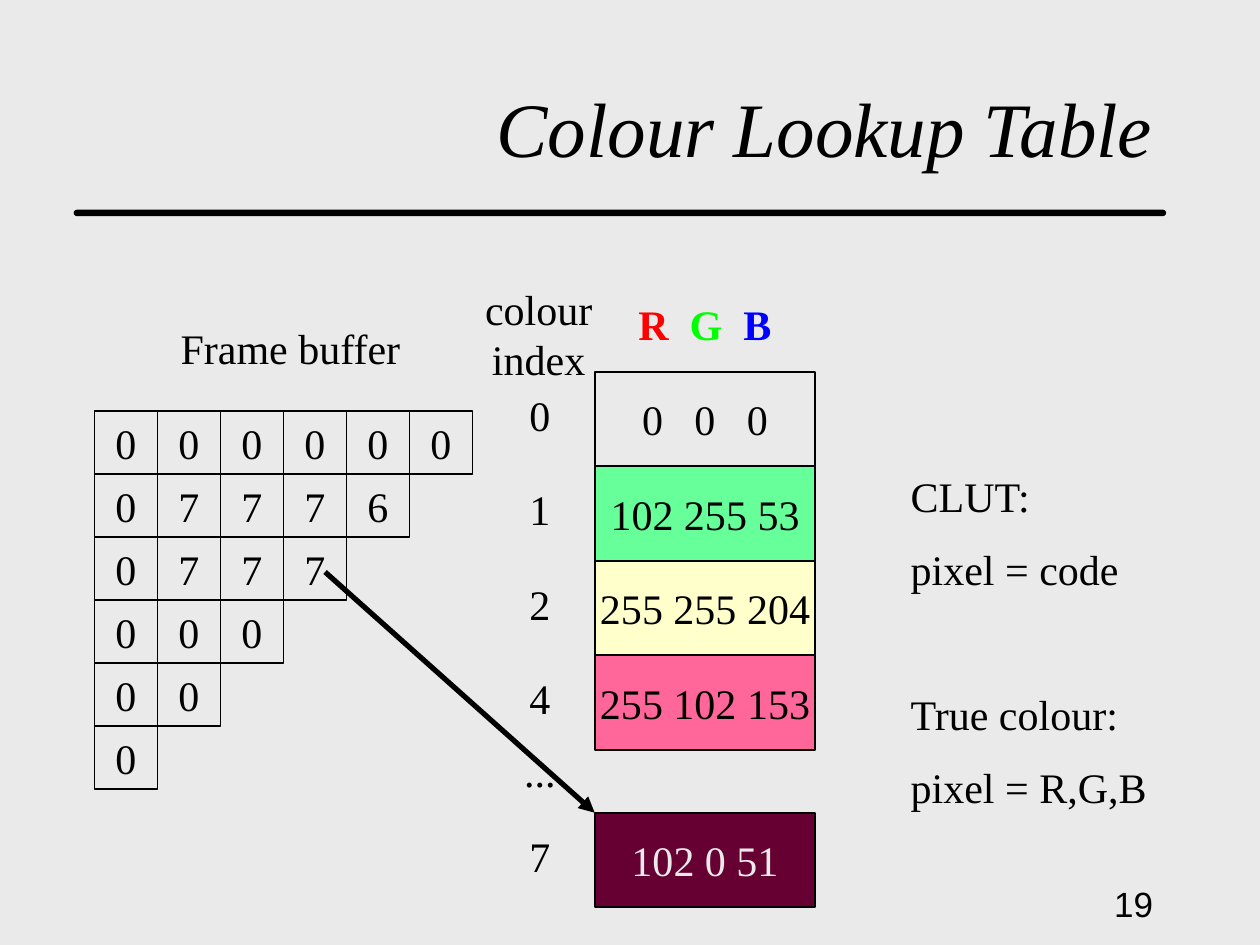
from dataclasses import dataclass

from lxml import etree
from pptx import Presentation
from pptx import util as u
from pptx.dml.color import RGBColor
from pptx.enum import shapes, text
from pptx.oxml.ns import qn

SHAPE = shapes.MSO_SHAPE
LEFT, CENTER, RIGHT = text.PP_ALIGN.LEFT, text.PP_ALIGN.CENTER, text.PP_ALIGN.RIGHT


@dataclass(frozen=True)
class Theme:
    ink: str = "000000"
    paper: str = "EAEAEA"
    red: str = "FF0000"
    green: str = "00FF00"
    blue: str = "0000FF"
    mint: str = "66FF99"
    cream: str = "FFFFCC"
    pink: str = "FF6699"
    plum: str = "660033"
    serif: str = "Times New Roman"
    sans: str = "Arial"
    title: int = 44
    body: int = 24
    number: int = 20


class SlideBuilder:
    def __init__(self, slide, theme):
        self.s = slide
        self.t = theme
        fill = slide.background.fill
        fill.solid()
        fill.fore_color.rgb = RGBColor.from_string(theme.paper)

    def style_run(self, r, color=None, size=None, font=None, bold=None, italic=None):
        r.font.name = font or self.t.serif
        r.font.size = u.Pt(size or self.t.body)
        r.font.color.rgb = RGBColor.from_string(color or self.t.ink)
        r.font.bold = bold
        r.font.italic = italic

    def frame(self, sp, align, wrap=False, anchor=text.MSO_ANCHOR.MIDDLE):
        tf = sp.text_frame
        tf.word_wrap = wrap
        tf.vertical_anchor = anchor
        tf.paragraphs[0].alignment = align
        return tf

    def label(self, box, words, align=CENTER, wrap=False,
              anchor=text.MSO_ANCHOR.MIDDLE, **style):
        sp = self.s.shapes.add_textbox(*map(u.Inches, box))
        p = self.frame(sp, align, wrap, anchor).paragraphs[0]
        p.text = words
        for r in p.runs:
            self.style_run(r, **style)

    def paragraphs(self, box, lines):
        """Left-aligned paragraphs, each given as (text, space before)."""
        sp = self.s.shapes.add_textbox(*map(u.Inches, box))
        tf = self.frame(sp, LEFT)
        tf.text = "\n".join(words for words, _ in lines)
        for p, (_, before) in zip(tf.paragraphs, lines):
            if before:
                p.space_before = u.Pt(before)
            self.style_run(p.runs[0])

    def box(self, box, parts, fill=None, line=True, gap=0, alpha=None, bold=None):
        """Rectangle with (text, colour) parts, parted by a space widened by gap points."""
        sp = self.s.shapes.add_shape(SHAPE.RECTANGLE, *map(u.Inches, box))
        sp.shadow.inherit = False
        self.paint(sp, fill, 1 if line else None)
        if alpha:
            color = sp._element.spPr.find(f".//{qn('a:srgbClr')}")
            etree.SubElement(color, qn("a:alpha")).set("val", str(alpha * 1000))
        p = self.frame(sp, CENTER).paragraphs[0]
        for i, (words, color) in enumerate(parts):
            if i:
                space = p.add_run()
                space.text = " "
                self.style_run(space, color, bold=bold)
                space._r.get_or_add_rPr().set("spc", str(gap * 100))
            r = p.add_run()
            r.text = words
            self.style_run(r, color, bold=bold)

    def paint(self, sp, fill, line_width):
        if fill:
            sp.fill.solid()
            sp.fill.fore_color.rgb = RGBColor.from_string(fill)
        else:
            sp.fill.background()
        if line_width:
            sp.line.color.rgb = RGBColor.from_string(self.t.ink)
            sp.line.width = u.Pt(line_width)
        else:
            sp.line.fill.background()

    def rule(self, box):
        sp = self.s.shapes.add_shape(SHAPE.ROUNDED_RECTANGLE, *map(u.Inches, box))
        sp.adjustments[0] = 0.5
        sp.shadow.inherit = False
        self.paint(sp, self.t.ink, 0.75)

    def arrow(self, start, end):
        c = self.s.shapes.add_connector(
            shapes.MSO_CONNECTOR.STRAIGHT, *map(u.Inches, start + end))
        c.line.color.rgb = RGBColor.from_string(self.t.ink)
        c.line.width = u.Pt(3)
        sp_pr = c._element.spPr
        etree.SubElement(sp_pr.find(qn("a:ln")), qn("a:tailEnd")).set("type", "triangle")
        etree.SubElement(sp_pr, qn("a:effectLst"))


def main():
    prs = Presentation()
    prs.slide_width, prs.slide_height = u.Inches(10), u.Inches(7.5)
    t = Theme()
    b = SlideBuilder(prs.slides.add_slide(prs.slide_layouts[6]), t)

    # Title, rule and slide number
    b.rule((0.59, 1.67, 8.66, 0.04))
    b.label((7.17, 6.92, 2.08, 0.5), "19", RIGHT, wrap=True, size=t.number, font=t.sans)
    b.label((0.75, 0.42, 8.5, 1), "Colour Lookup Table", RIGHT, wrap=True,
            anchor=text.MSO_ANCHOR.BOTTOM, size=t.title, italic=True)

    # Frame buffer: a stepped grid of pixel codes
    cell = 0.5
    for row, codes in enumerate(["000000", "07776", "0777", "000", "00", "0"]):
        for col, code in enumerate(codes):
            b.box((0.75 + col * cell, 3.26 + row * cell, cell, cell), [(code, t.ink)])
    b.label((1.33, 2.51, 1.95, 0.5), "Frame buffer")

    # Lookup table: index beside each colour entry
    table_x, table_y, entry_w, entry_h = 4.72, 2.95, 1.75, 0.75
    last_y = 6.45
    entries = [
        ("0", ["0", "0", "0"], t.paper, t.ink, 12),
        ("1", ["102 255 53"], t.mint, t.ink, 0),
        ("2", ["255 255 204"], t.cream, t.ink, 0),
        ("4", ["255 102 153"], t.pink, t.ink, 0),
        ("7", ["102 0 51"], t.plum, t.paper, 0),
    ]
    for i, (index, values, fill, color, gap) in enumerate(entries):
        y = last_y if index == "7" else table_y + i * entry_h
        b.box((table_x, y, entry_w, entry_h), [(v, color) for v in values], fill, gap=gap)
        b.label((4.1, y + 0.09, 0.37, 0.5), index)
    b.label((4.06, 5.87, 0.45, 0.5), "...")

    # Table headings
    b.box((4.83, 2.32, 1.53, 0.5), [("R", t.red), ("G", t.green), ("B", t.blue)],
          t.paper, line=False, gap=6, alpha=50, bold=True)
    b.label((3.75, 2.2, 1.05, 0.9), "colour\vindex")

    # Explanation
    b.paragraphs((7.13, 3.64, 2.07, 2.9), [
        ("CLUT:", 0), ("pixel = code", 13), ("True colour:", 54), ("pixel = R,G,B", 13)])

    # Pixel code 7 points to its table entry
    b.arrow((2.58, 4.54), (table_x, last_y))

    prs.save("out.pptx")


if __name__ == "__main__":
    main()
